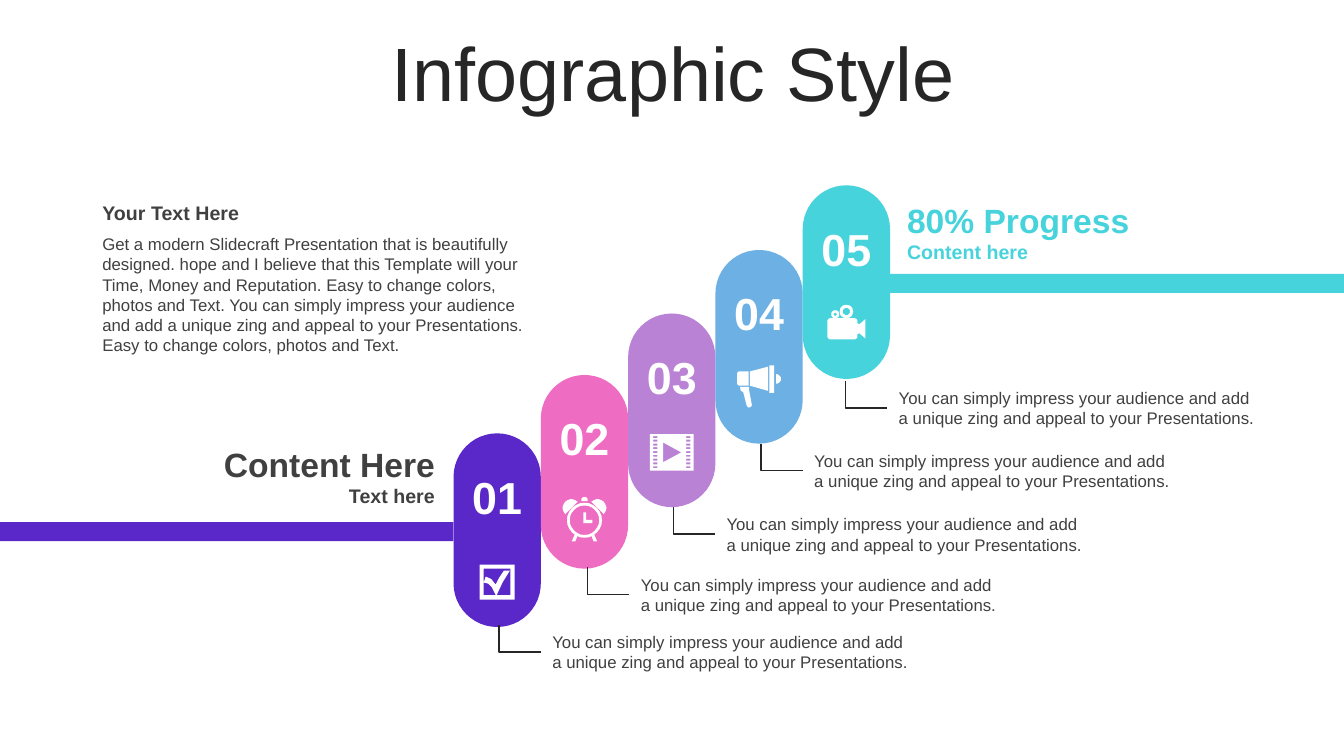
from math import cos, radians, sin

from pptx import Presentation
from pptx.dml.color import RGBColor
from pptx.enum.shapes import MSO_SHAPE
from pptx.enum.text import MSO_ANCHOR, PP_ALIGN
from pptx.util import Cm, Pt

COLORS = {
    "indigo": "5A28C8", "pink": "EE6CC1", "violet": "B982D5",
    "blue": "6DB0E4", "teal": "47D3DC",
    "white": "FFFFFF", "ink": "262626", "gray": "404040",
}
NOTE = ("You can simply impress your audience and add a unique zing "
        "and appeal to your Presentations.")
INTRO = ("Get a modern Slidecraft Presentation that is beautifully designed. "
         "hope and I believe that this Template will your Time, Money and "
         "Reputation. Easy to change colors, photos and Text. You can simply "
         "impress your audience and add a unique zing and appeal to your "
         "Presentations. Easy to change colors, photos and Text.")
PILL_LEFT, PILL_WIDTH, PILL_HEIGHT = 11.43, 2.2, 4.88


def arc(x, y, radius, start=0, end=360):
    """Return points along an arc, in degrees clockwise from the right."""
    steps = 24
    angles = [radians(start + (end - start) * i / steps) for i in range(steps + 1)]
    return [(x + radius * cos(a), y + radius * sin(a)) for a in angles]


def rect(x, y, width, height):
    return [(x, y), (x + width, y), (x + width, y + height), (x, y + height)]


def flip(points):
    return [(-x, y) for x, y in points]


# Each icon is a list of outlines around (0, 0), in hundredths of a centimetre.
def check():
    tick = [(-34, 1), (-29, -14), (-15, -8), (-4, 6), (5, -11), (17, -29),
            (32, -29), (14, 0), (-1, 32), (-4, 32), (-14, 12), (-22, 4)]
    return [rect(-44, -44, 88, 88), rect(-34, -34, 67, 67), tick]


def clock():
    hands = [(-3, -20), (4, -20), (4, -1), (20, -1), (20, 7), (-3, 7)]
    knob = [(-8, -48), (-8, -54), (-4, -58), (4, -58), (8, -54), (8, -48)]
    bell = arc(-33, -31, 22, 135, 315)
    foot = [(-32, 53), (-23, 53), (-18, 41), (-25, 37)]
    return [arc(0, 0, 44), arc(0, 0, 37), hands, knob,
            bell, flip(bell), foot, flip(foot)]


def film():
    holes = [rect(x, -41 + 19 * row // 2, 11, 5)
             for row in range(9) for x in (-47, 36)]
    return [rect(-55, -46, 110, 92), [(-22, -25), (-22, 25), (24, 0)], *holes]


def horn():
    grip = [(-48, 3), (-25, 3), (-25, 12), (-18, 49), (-21, 54), (-27, 55),
            (-31, 51), (-40, 16), (-46, 13)]
    back = [(-51, -36), (-26, -36), (-26, 0), (-51, 0), (-55, -4), (-55, -32)]
    cone = [(23, -48), (23, 13), (-23, 0), (-23, -36)]
    return [grip, back, cone, rect(26, -51, 12, 69), arc(43, -17, 12, -90, 90)]


def camera():
    body = (arc(-40, -2, 8, 180, 270) + arc(20, -2, 8, 270, 360)
            + [(28, 3), (33, 5), (48, -8), (48, 41), (33, 28), (28, 30)]
            + arc(20, 35, 8, 0, 90) + arc(-40, 35, 8, 90, 180))
    return [body, arc(0, -27, 17), arc(0, -27, 9),
            arc(-28, -20, 10), arc(-28, -20, 4)]


# Number, colour, pill top, icon, icon centre below pill top, note left and top.
STEPS = [
    ("01", "indigo", 10.92, check, 3.75, 13.67, 15.8),
    ("02", "pink", 9.45, clock, 3.66, 15.9, 14.35),
    ("03", "violet", 7.9, film, 3.5, 18.06, 12.83),
    ("04", "blue", 6.3, horn, 3.42, 20.27, 11.23),
    ("05", "teal", 4.67, camera, 3.45, 22.4, 9.65),
]


class Deck:
    """Holds the font and the current slide, and draws elements in cm."""

    font = "Arial"

    def __init__(self):
        self.show = Presentation()
        self.show.slide_width, self.show.slide_height = Cm(33.87), Cm(19.05)
        self.slide = self.show.slides.add_slide(self.show.slide_layouts[5])
        self.shapes = self.slide.shapes

    def color(self, name):
        return RGBColor.from_string(COLORS[name])

    def fill(self, shape, text, size, color, bold, align, anchor):
        """Put one formatted run into the shape and return its paragraph."""
        frame = shape.text_frame
        frame.word_wrap = True
        frame.vertical_anchor = anchor
        line = frame.paragraphs[0]
        line.alignment = align
        run = line.add_run()
        run.text = text
        run.font.name, run.font.size, run.font.bold = self.font, Pt(size), bold
        run.font.color.rgb = self.color(color)
        return line

    def title(self, text):
        shape = self.shapes.title
        shape.left, shape.top = Cm(0.89), Cm(0.94)
        shape.width, shape.height = Cm(32.16), Cm(2)
        line = self.fill(shape, text, 54, "ink", False,
                         PP_ALIGN.CENTER, MSO_ANCHOR.MIDDLE)
        line.line_spacing = 0.9

    def text(self, text, box, size=12, color="gray", bold=False,
             align=PP_ALIGN.LEFT, anchor=MSO_ANCHOR.TOP):
        shape = self.shapes.add_textbox(*map(Cm, box))
        self.fill(shape, text, size, color, bold, align, anchor)

    def block(self, kind, box, color):
        shape = self.shapes.add_shape(kind, *map(Cm, box))
        shape.shadow.inherit = False
        shape.fill.solid()
        shape.fill.fore_color.rgb = self.color(color)
        shape.line.fill.background()
        return shape

    def pill(self, box, color):
        self.block(MSO_SHAPE.ROUNDED_RECTANGLE, box, color).adjustments[0] = 0.5

    def bar(self, box, color):
        self.block(MSO_SHAPE.RECTANGLE, box, color)

    def draw(self, outlines, x, y, close):
        """Turn outlines around (x, y) into one freeform shape."""
        pen = self.shapes.build_freeform(*outlines[0][0], scale=Cm(0.01))
        pen.add_line_segments(outlines[0][1:], close=close)
        for points in outlines[1:]:
            pen.move_to(*points[0])
            pen.add_line_segments(points[1:], close=close)
        shape = pen.convert_to_shape(Cm(x), Cm(y))
        shape.shadow.inherit = False
        return shape

    def icon(self, outlines, x, y):
        shape = self.draw(outlines, x, y, True)
        shape.fill.solid()
        shape.fill.fore_color.rgb = self.color("white")
        shape.line.fill.background()

    def elbow(self, x, y):
        shape = self.draw([[(0, 0), (0, 68), (105, 68)]], x, y, False)
        shape.fill.background()
        shape.line.color.rgb = self.color("ink")
        shape.line.width = Pt(1)


def main():
    deck = Deck()
    deck.title("Infographic Style")
    for i, (label, color, top, icon, drop, left, base) in enumerate(STEPS):
        x = PILL_LEFT + i * PILL_WIDTH
        deck.pill((x, top, PILL_WIDTH, PILL_HEIGHT), color)
        deck.text(label, (x, top + 0.77, PILL_WIDTH, 1.63), 32, "white", True,
                  PP_ALIGN.CENTER, MSO_ANCHOR.MIDDLE)
        deck.icon(icon(), x + PILL_WIDTH / 2, top + drop)
        deck.elbow(left - 1.09, base - 0.05)
        deck.text(NOTE, (left, base, 9.5, 1.27))

    deck.bar((0, 13.16, 11.43, 0.48), "indigo")
    deck.bar((22.42, 6.9, 11.45, 0.48), "teal")
    for head, sub, left, top, width, color, align in (
        ("Content Here", "Text here", 5.21, 11.05, 6, "gray", PP_ALIGN.RIGHT),
        ("80% Progress", "Content here", 22.61, 4.9, 6.53, "teal", PP_ALIGN.LEFT),
    ):
        deck.text(head, (left, top, width, 1.27), 24, color, True, align,
                  MSO_ANCHOR.MIDDLE)
        deck.text(sub, (left, top + 1, width, 0.86), 14, color, True, align,
                  MSO_ANCHOR.MIDDLE)
    deck.text("Your Text Here", (2.33, 4.95, 11.63, 0.86), 14, bold=True)
    deck.text(INTRO, (2.33, 5.77, 11.63, 3.33))
    deck.show.save("out.pptx")


if __name__ == "__main__":
    main()
